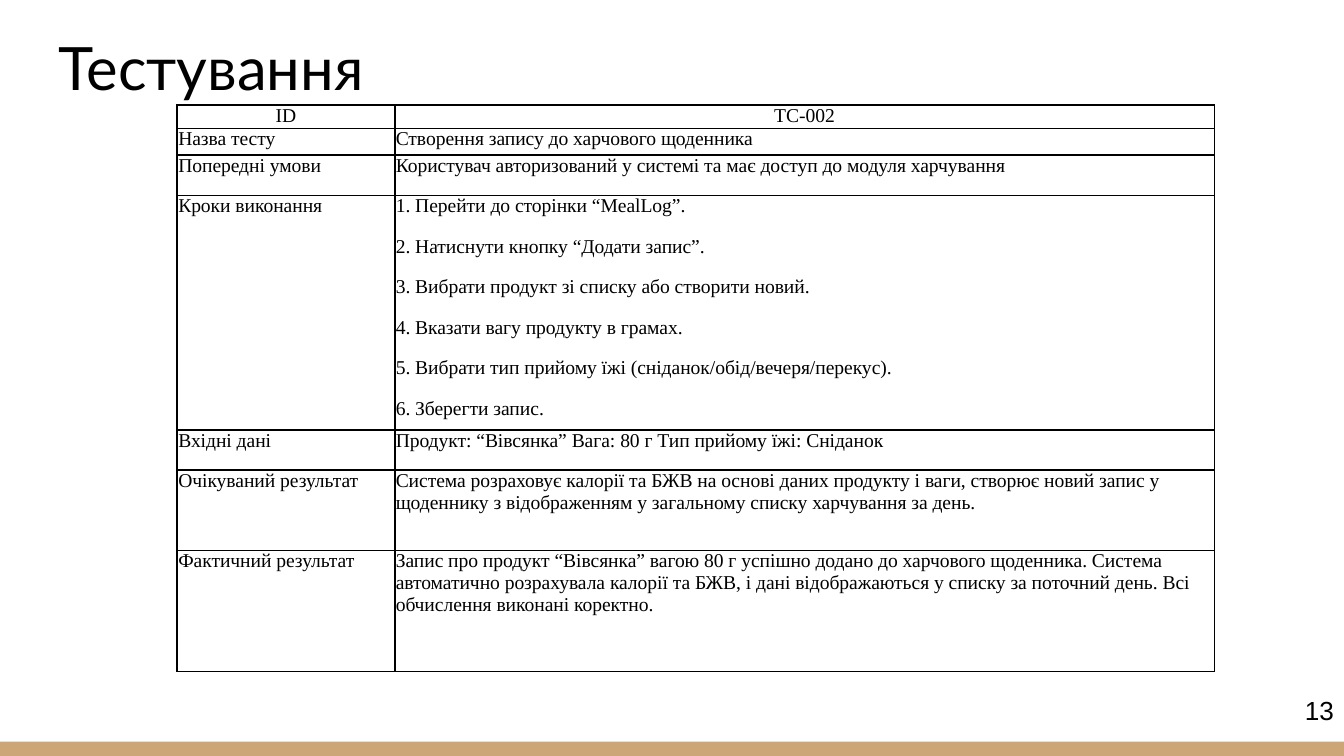
from dataclasses import dataclass

from lxml import etree
from pptx import Presentation
from pptx.dml.color import RGBColor
from pptx.enum.shapes import MSO_SHAPE
from pptx.enum.text import MSO_ANCHOR, PP_ALIGN
from pptx.oxml.ns import qn
from pptx.util import Cm, Pt

RECTANGLE = MSO_SHAPE.RECTANGLE
TOP, BOTTOM = MSO_ANCHOR.TOP, MSO_ANCHOR.BOTTOM
LEFT, CENTER = PP_ALIGN.LEFT, PP_ALIGN.CENTER


@dataclass(frozen=True)
class Theme:
    ink: str = "000000"
    accent: str = "CCA677"
    title_font: str = "Lato"
    number_font: str = "Arial"
    table_font: str = "Times New Roman"
    title_size: float = 32
    number_size: float = 14
    table_size: float = 10.5
    paragraph_gap: float = 10
    border_width: float = 1


@dataclass(frozen=True)
class Label:
    text: str
    left: float
    top: float
    width: float
    height: float
    font: str
    size: float
    anchor: MSO_ANCHOR


@dataclass(frozen=True)
class TestRow:
    height: float
    name: str
    details: tuple[str, ...]
    align: PP_ALIGN = LEFT


THEME = Theme()
PAGE_WIDTH, PAGE_HEIGHT = 25.4, 14.29
STRIPE_HEIGHT = 0.27
TABLE_LEFT, TABLE_TOP = 3.35, 1.98
COLUMN_WIDTHS = (4.11, 15.49)

LABELS = (
    Label("Тестування", 0.86, -0.13, 23.67, 2.31,
          THEME.title_font, THEME.title_size, BOTTOM),
    Label("13", 24.41, 12.88, 1.32, 0.86,
          THEME.number_font, THEME.number_size, TOP),
)

TEST_ROWS = (
    TestRow(0.38, "ID", ("TC-002",), CENTER),
    TestRow(0.51, "Назва тесту", ("Створення запису до харчового щоденника",)),
    TestRow(0.76, "Попередні умови", (
        "Користувач авторизований у системі та має доступ до модуля харчування",)),
    TestRow(3.76, "Кроки виконання", (
        "1. Перейти до сторінки “MealLog”.",
        "2. Натиснути кнопку “Додати запис”.",
        "3. Вибрати продукт зі списку або створити новий.",
        "4. Вказати вагу продукту в грамах.",
        "5. Вибрати тип прийому їжі (сніданок/обід/вечеря/перекус).",
        "6. Зберегти запис.")),
    TestRow(0.76, "Вхідні дані", (
        "Продукт: “Вівсянка” Вага: 80 г Тип прийому їжі: Сніданок",)),
    TestRow(1.52, "Очікуваний результат", (
        "Система розраховує калорії та БЖВ на основі даних продукту і ваги, "
        "створює новий запис у щоденнику з відображенням у загальному списку "
        "харчування за день.",)),
    TestRow(2.29, "Фактичний результат", (
        "Запис про продукт “Вівсянка” вагою 80 г успішно додано до харчового "
        "щоденника. Система автоматично розрахувала калорії та БЖВ, і дані "
        "відображаються у списку за поточний день. Всі обчислення виконані "
        "коректно.",)),
)


def apply_format(target, values: dict) -> None:
    for name, value in values.items():
        setattr(target, name, value)


def write_span(para, text: str, font: str, size: float) -> None:
    span = para.add_run()
    span.text = text
    apply_format(span.font, {"name": font, "size": Pt(size)})
    span.font.color.rgb = RGBColor.from_string(THEME.ink)


def draw_stripe(page) -> None:
    stripe = page.shapes.add_shape(
        RECTANGLE, Cm(0), Cm(PAGE_HEIGHT - STRIPE_HEIGHT),
        Cm(PAGE_WIDTH), Cm(STRIPE_HEIGHT))
    stripe.shadow.inherit = False
    stripe.fill.solid()
    stripe.fill.fore_color.rgb = RGBColor.from_string(THEME.accent)
    stripe.line.fill.background()


def draw_label(page, label: Label) -> None:
    box = page.shapes.add_textbox(
        Cm(label.left), Cm(label.top), Cm(label.width), Cm(label.height))
    margin = Cm(0.25)
    apply_format(box.text_frame, {
        "word_wrap": True, "vertical_anchor": label.anchor,
        "margin_left": margin, "margin_right": margin,
        "margin_top": margin, "margin_bottom": margin})
    write_span(box.text_frame.paragraphs[0], label.text, label.font, label.size)


def add_borders(cell) -> None:
    properties = cell._tc.get_or_add_tcPr()
    for position, side in enumerate(("a:lnL", "a:lnR", "a:lnT", "a:lnB")):
        line = etree.Element(qn(side), w=str(Pt(THEME.border_width)))
        fill = etree.SubElement(line, qn("a:solidFill"))
        etree.SubElement(fill, qn("a:srgbClr"), val=THEME.ink)
        properties.insert(position, line)


def fill_cell(cell, lines: tuple[str, ...], align: PP_ALIGN) -> None:
    apply_format(cell, {
        "margin_left": Cm(0.02), "margin_right": Cm(0.02),
        "margin_top": Cm(0), "margin_bottom": Cm(0),
        "vertical_anchor": TOP})
    cell.fill.background()
    add_borders(cell)
    frame = cell.text_frame
    for index, line in enumerate(lines):
        para = frame.add_paragraph() if index else frame.paragraphs[0]
        apply_format(para, {
            "alignment": align, "space_after": Pt(THEME.paragraph_gap)})
        write_span(para, line, THEME.table_font, THEME.table_size)


def draw_test_table(page, rows: tuple[TestRow, ...]) -> None:
    table = page.shapes.add_table(
        len(rows), len(COLUMN_WIDTHS), Cm(TABLE_LEFT), Cm(TABLE_TOP),
        Cm(sum(COLUMN_WIDTHS)), Cm(sum(row.height for row in rows))).table
    apply_format(table, {"first_row": False, "horz_banding": False})
    for column, width in zip(table.columns, COLUMN_WIDTHS):
        column.width = Cm(width)
    for table_row, row in zip(table.rows, rows):
        table_row.height = Cm(row.height)
        for cell, lines in zip(table_row.cells, ((row.name,), row.details)):
            fill_cell(cell, lines, row.align)


def main() -> None:
    deck = Presentation()
    apply_format(deck, {
        "slide_width": Cm(PAGE_WIDTH), "slide_height": Cm(PAGE_HEIGHT)})
    page = deck.slides.add_slide(deck.slide_layouts[6])
    draw_stripe(page)
    for label in LABELS:
        draw_label(page, label)
    draw_test_table(page, TEST_ROWS)
    deck.save("out.pptx")


if __name__ == "__main__":
    main()
